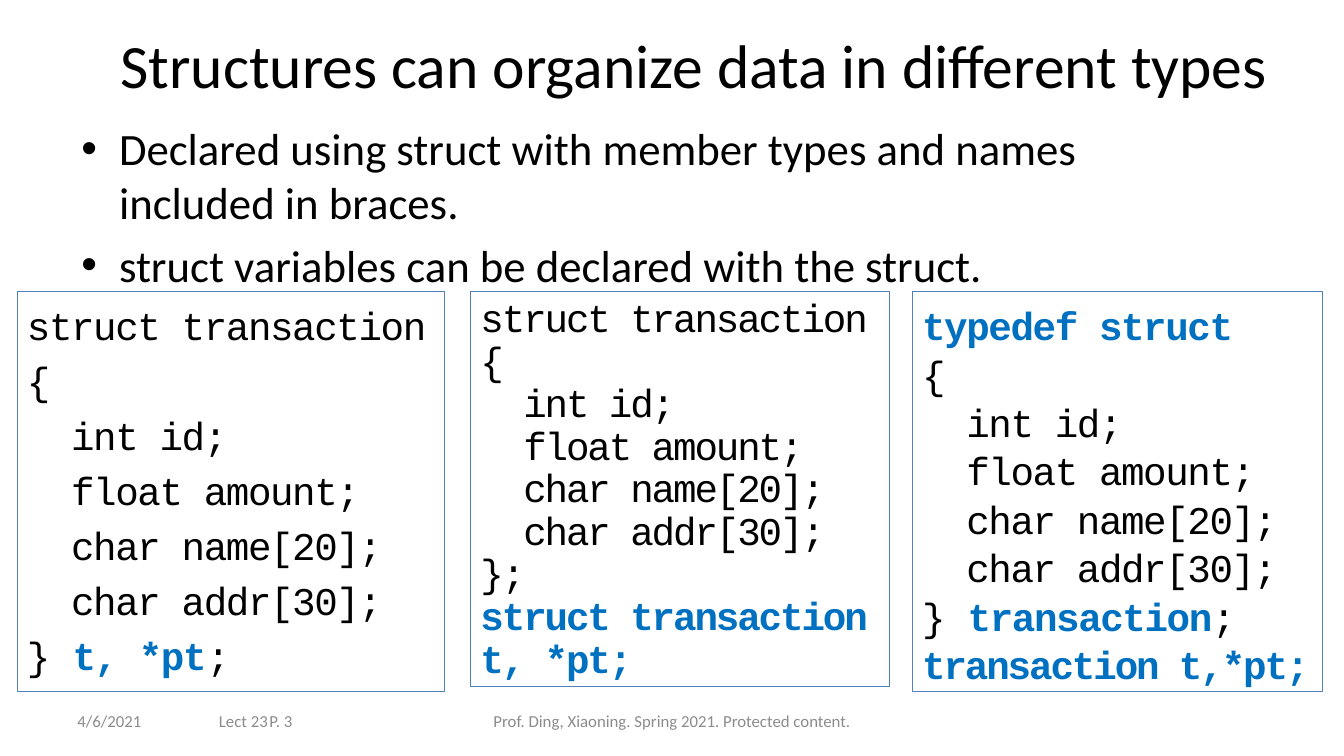
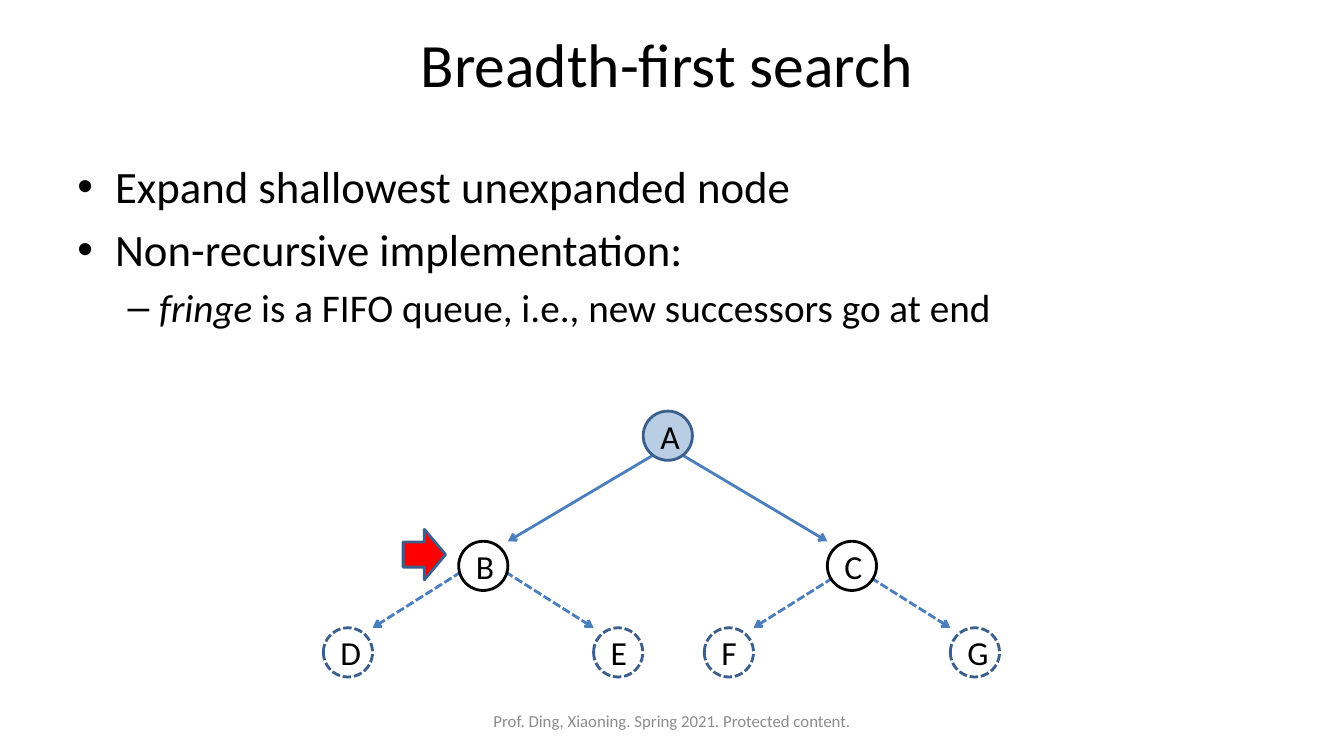
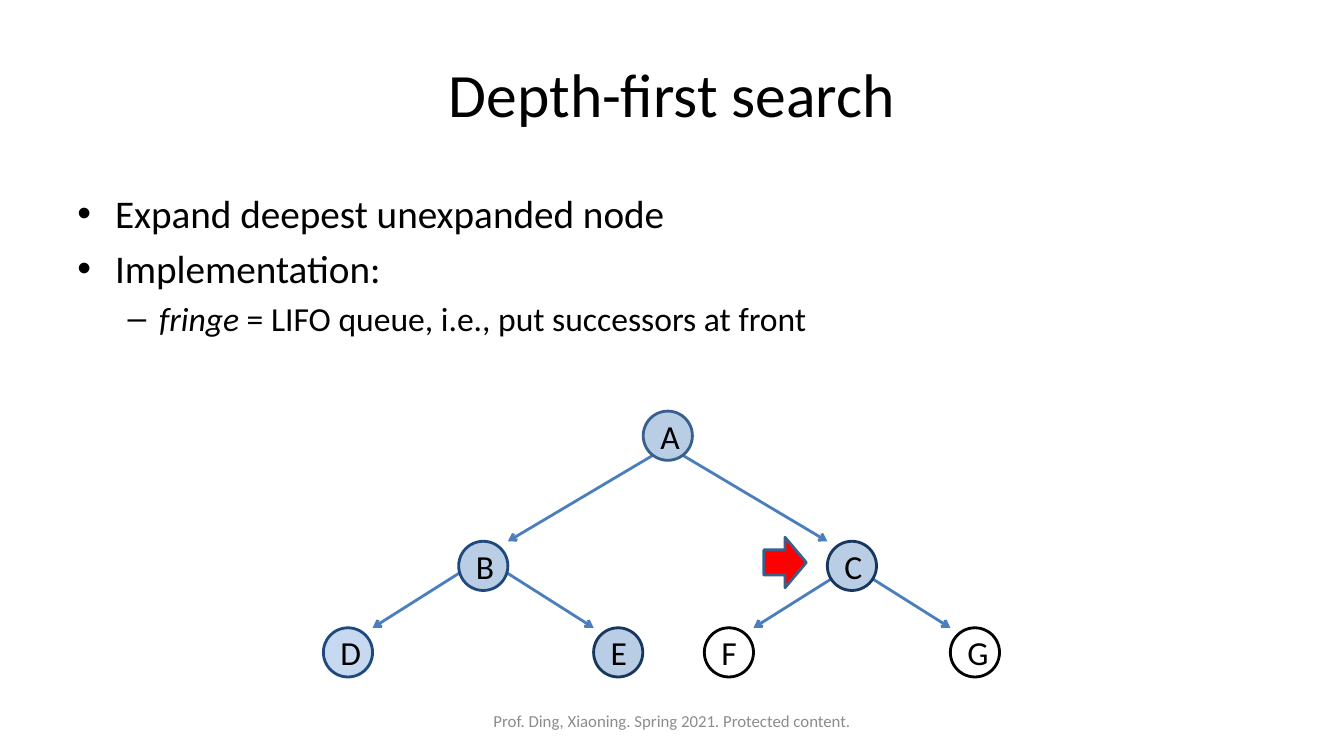
import dataclasses

import lxml.etree
import pptx
import pptx.dml.color
import pptx.enum.dml
import pptx.enum.shapes
import pptx.enum.text
import pptx.oxml.ns
import pptx.util

Cm = pptx.util.Cm
Pt = pptx.util.Pt
RGB = pptx.dml.color.RGBColor.from_string
ALIGN = pptx.enum.text.PP_ALIGN
ANCHOR = pptx.enum.text.MSO_ANCHOR
SHAPE = pptx.enum.shapes.MSO_SHAPE
qn = pptx.oxml.ns.qn


@dataclasses.dataclass(frozen=True)
class Theme:
    body_font: str = "Calibri"
    code_font: str = "Courier New"
    black: str = "000000"
    white: str = "FFFFFF"
    gray: str = "8C8C8C"
    keyword: str = "0070C0"
    frame: str = "4F81BD"
    edge: str = "4B7EBC"
    outline: str = "3A5F8C"
    navy: str = "1F497D"
    dark_navy: str = "17375E"
    visited: str = "B9CDE5"
    pale: str = "C6D9F1"
    pointer: str = "FF0000"
    title_size: int = 44
    large_size: int = 32
    medium_size: int = 28
    small_size: int = 24
    footer_size: int = 12


theme = Theme()


def write(shape, lines, *, size=theme.small_size, font=theme.body_font, color=theme.black,
          align=ALIGN.LEFT, anchor=ANCHOR.TOP, spacing=None, before=0, tracking=0, bullets=None):
    frame = shape.text_frame
    frame.word_wrap = True
    frame.vertical_anchor = anchor
    for index, line in enumerate(lines):
        paragraph = frame.paragraphs[0] if index == 0 else frame.add_paragraph()
        line_size, gap = size, before
        if bullets:
            level, symbol, margin, hanging, line_size = bullets[index]
            gap = line_size * 0.2
            paragraph.level = level
            properties = paragraph._p.get_or_add_pPr()
            properties.set("marL", str(Cm(margin)))
            properties.set("indent", str(-Cm(hanging)))
            lxml.etree.SubElement(properties, qn("a:buFont")).set("typeface", "Arial")
            lxml.etree.SubElement(properties, qn("a:buChar")).set("char", symbol)
        paragraph.alignment = align
        paragraph.space_before = Pt(gap if index else 0)
        if spacing:
            paragraph.line_spacing = Pt(spacing)
        for part in [line] if isinstance(line, str) else line:
            text, style = (part, {}) if isinstance(part, str) else part
            run = paragraph.add_run()
            run.text = text
            run.font.name = font
            run.font.size = Pt(line_size)
            run.font.color.rgb = RGB(style.get("color", color))
            run.font.bold = style.get("bold", False)
            run.font.italic = style.get("italic", False)
            points = style.get("tracking", tracking)
            if points:
                run._r.get_or_add_rPr().set("spc", str(int(points * 100)))


def add_shape(shapes, kind, box, fill, line, width, dashed=False):
    shape = shapes.add_shape(kind, *map(Cm, box))
    shape.shadow.inherit = False
    if fill:
        shape.fill.solid()
        shape.fill.fore_color.rgb = RGB(fill)
    else:
        shape.fill.background()
    shape.line.color.rgb = RGB(line)
    shape.line.width = Pt(width)
    if dashed:
        shape.line.dash_style = pptx.enum.dml.MSO_LINE.SQUARE_DOT
        shape.line._get_or_add_ln().find(qn("a:prstDash")).set("val", "sysDash")
    return shape


def point(size):
    return (0, "•", 0.95, 0.95, size)


def subpoint(size):
    return (1, "–", 2.06, 0.79, size)


italic = {"italic": True}
pages = [
    ("Structures can organize data in different types", (1.8, 0.3, 31.4, 2.6),
     ["Declared using struct with member types and names included in braces.",
      "struct variables can be declared with the struct."],
     [point(theme.large_size)] * 2, (1.8, 2.92, 29.5, 3.76)),
    ("Breadth-first search", (1.57, 0, 30.48, 3.18),
     ["Expand shallowest unexpanded node", "Non-recursive implementation:",
      [("fringe", italic), " is a FIFO queue, i.e., new successors go at end"]],
     [point(theme.large_size)] * 2 + [subpoint(theme.medium_size)], (1.7, 3.88, 30.91, 6.3)),
    ("Depth-first search", (1.7, 0.76, 30.48, 3.18),
     ["Expand deepest unexpanded node", "Implementation:",
      [("fringe ", italic), "= LIFO queue, i.e., put successors at front"]],
     [point(theme.medium_size)] * 2 + [subpoint(theme.small_size)], (1.7, 4.65, 30.48, 5.6)),
]

presentation = pptx.Presentation()
presentation.slide_width = Cm(33.87)
presentation.slide_height = Cm(19.05)
slides = []
for title, title_box, lines, bullets, body_box in pages:
    slide = presentation.slides.add_slide(presentation.slide_layouts[5])
    heading = slide.shapes.title
    heading.left, heading.top, heading.width, heading.height = map(Cm, title_box)
    write(heading, [title], size=theme.title_size, align=ALIGN.CENTER, anchor=ANCHOR.MIDDLE)
    write(slide.shapes.add_textbox(*map(Cm, body_box)), lines, bullets=bullets)
    slides.append(slide)

notice = ("Prof. Ding, Xiaoning. Spring 2021. Protected content.", 11.58, 10.72, ALIGN.CENTER)
lecture_details = [("4/6/2021", 1.7, 7.9, ALIGN.LEFT), ("Lect 23\tP. 3", 0, 7.62, ALIGN.RIGHT)]
for slide, extras in zip(slides, [lecture_details, [], []]):
    for text, left, width, align in [notice] + extras:
        footer = slide.shapes.add_textbox(Cm(left), Cm(17.65), Cm(width), Cm(1.02))
        write(footer, [text], size=theme.footer_size, color=theme.gray, align=align,
              anchor=ANCHOR.MIDDLE)

keyword = {"color": theme.keyword, "bold": True}
tight_keyword = {**keyword, "tracking": -1.5}
members = ["{", "  int id;", "  float amount;", "  char name[20];", "  char addr[30];"]
listings = [
    ((0.43, 7.34, 10.77, 10.08), 0.26, 33.6, 5.6, -1,
     ["struct transaction", *members, ["} ", ("t, *pt", keyword), ";"]]),
    ((11.86, 7.34, 10.57, 9.96), 0.17, 30.4, 0, -1.5,
     ["struct transaction", *members, "};", [("struct transaction t, *pt;", tight_keyword)]]),
    ((22.99, 7.34, 10.34, 10.08), 0.26, 33.6, 1, -1,
     [[("typedef struct", keyword)], *members, ["} ", ("transaction", keyword), ";"],
      [("transaction t,*pt;", tight_keyword)]]),
]
for box, inset, spacing, before, tracking, lines in listings:
    listing = add_shape(slides[0].shapes, SHAPE.RECTANGLE, box, None, theme.frame, 0.75)
    listing.text_frame.margin_top = Cm(inset)
    write(listing, lines, size=theme.medium_size, font=theme.code_font, spacing=spacing,
          before=before, tracking=tracking)

diameter = 1.24
nodes = {"A": (16.21, 10.36), "B": (11.56, 13.64), "C": (20.85, 13.64), "D": (8.15, 15.82),
         "E": (14.96, 15.82), "F": (17.75, 15.82), "G": (23.95, 15.82)}
branches = {"A": ("BC", 0.32, 0.46), "B": ("DE", 0.32, 0), "C": ("FG", 0, 0)}
root = (theme.visited, theme.outline, False)
waiting = (theme.white, theme.black, False)
unseen = (theme.white, theme.outline, True)
expanded = (theme.visited, theme.dark_navy, False)
trees = [
    (slides[1], {"A": root, "B": waiting, "C": waiting, **dict.fromkeys("DEFG", unseen)},
     (10.16, 13.34)),
    (slides[2], {"A": root, "B": (theme.visited, theme.navy, False), "C": expanded,
                 "D": (theme.pale, theme.navy, False), "E": expanded,
                 "F": waiting, "G": waiting}, (19.25, 13.54)),
]
for slide, styles, pointer in trees:
    tree = slide.shapes.add_group_shape()
    for parent, (children, offset, drop) in branches.items():
        left, top = nodes[parent]
        for child, side in zip(children, (-1, 1)):
            child_left, child_top = nodes[child]
            edge = tree.shapes.add_connector(
                pptx.enum.shapes.MSO_CONNECTOR.STRAIGHT,
                Cm(left + diameter / 2 + side * offset), Cm(top + diameter / 2 + drop),
                Cm(child_left + (diameter if side < 0 else 0)), Cm(child_top))
            edge.line.color.rgb = RGB(theme.edge)
            edge.line.width = Pt(2)
            line = edge.line._get_or_add_ln()
            if styles[child][2]:
                lxml.etree.SubElement(line, qn("a:prstDash")).set("val", "sysDash")
            lxml.etree.SubElement(line, qn("a:tailEnd")).set("type", "arrow")
            lxml.etree.SubElement(edge._element.spPr, qn("a:effectLst"))
    for name, (left, top) in nodes.items():
        fill, outline, dashed = styles[name]
        node = add_shape(tree.shapes, SHAPE.OVAL, (left, top, diameter, diameter),
                         fill, outline, 2, dashed)
        write(node, [name], align=ALIGN.CENTER, anchor=ANCHOR.MIDDLE)
    add_shape(slide.shapes, SHAPE.RIGHT_ARROW, (*pointer, 1.07, 1.27),
              theme.pointer, theme.outline, 2)

presentation.save("out.pptx")
